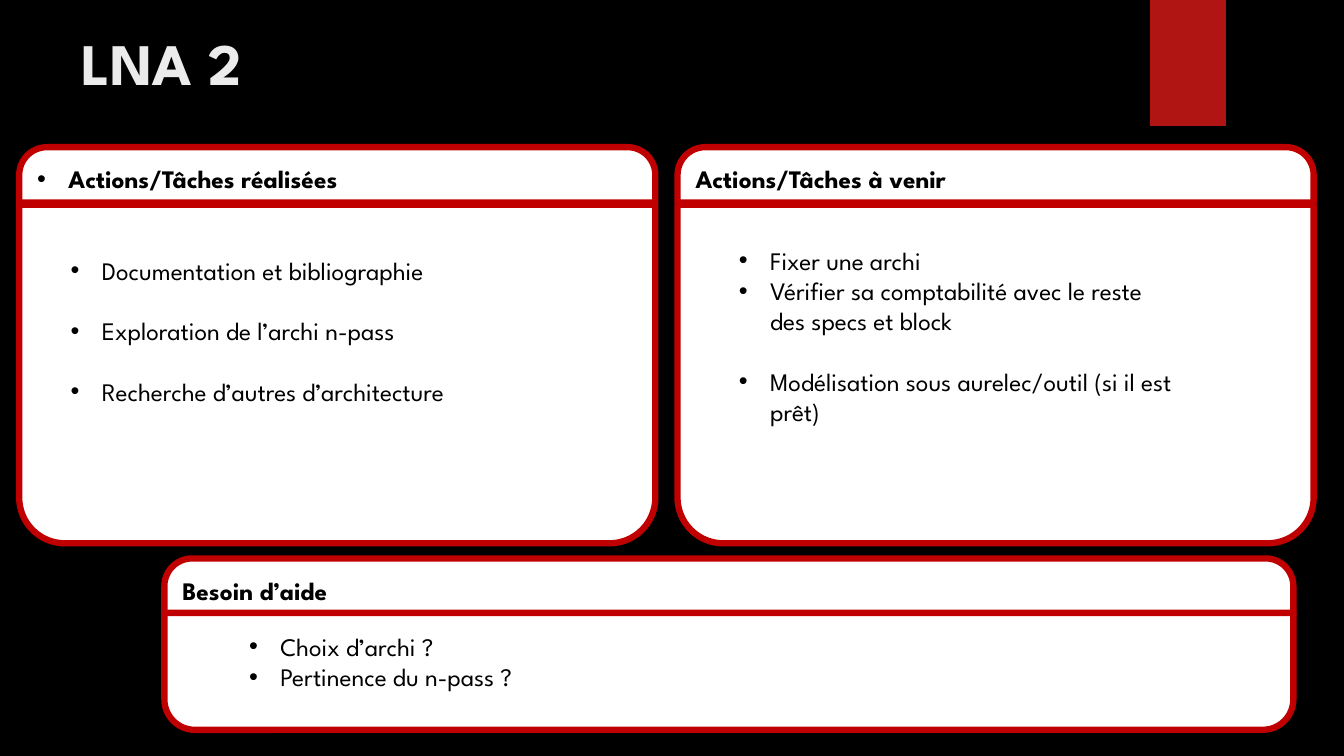
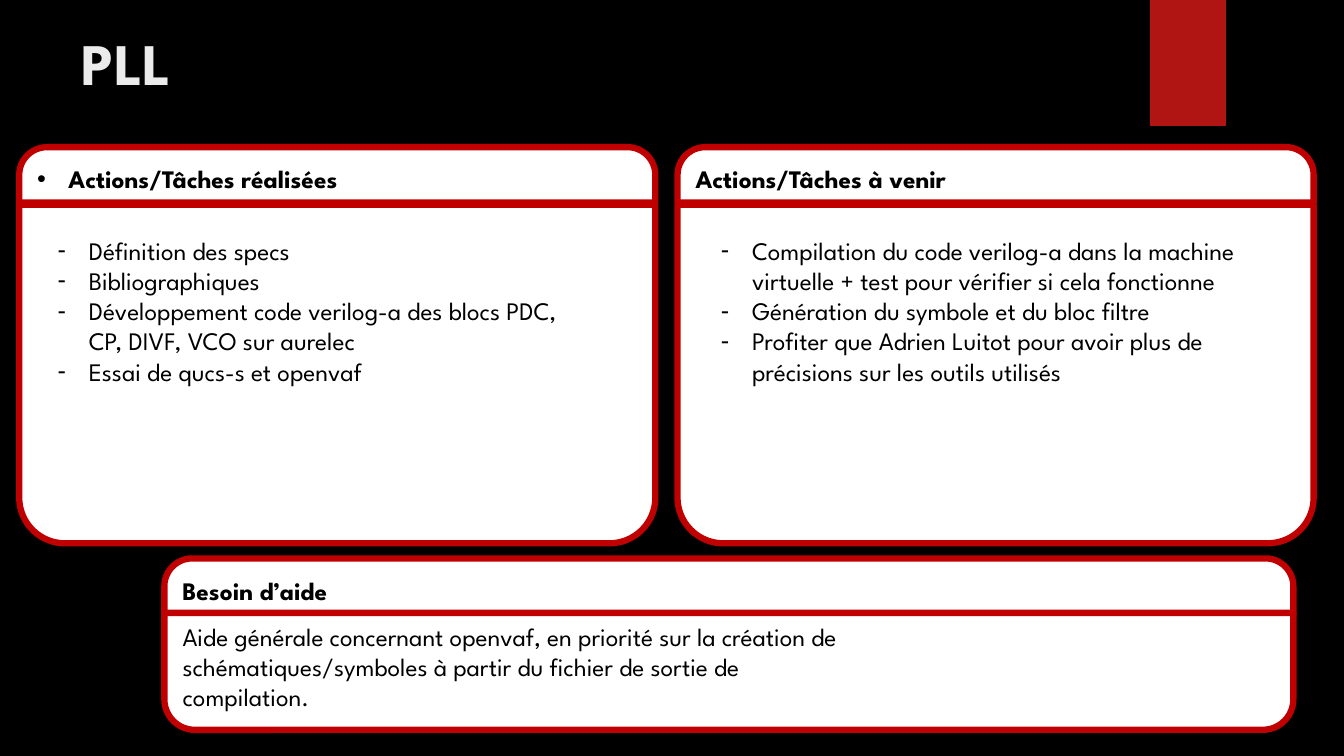
from dataclasses import dataclass
from typing import NamedTuple

from lxml.etree import SubElement
from pptx import Presentation
from pptx.dml.color import RGBColor
from pptx.enum.shapes import MSO_SHAPE
from pptx.enum.text import MSO_ANCHOR, MSO_AUTO_SIZE, PP_ALIGN
from pptx.oxml.ns import qn
from pptx.util import Inches, Pt

WIDTH, HEIGHT = Inches(13.33), Inches(7.5)
COLORS = {
    "background": "000000",
    "ribbon": "B01513",
    "title": "EBEBEB",
    "card": "FFFFFF",
    "border": "C00000",
    "text": "000000",
}
FONT = "League Spartan"
TITLE_FONT = {"name": FONT, "size": Pt(42), "bold": True}
HEADER_FONT = {"name": FONT, "size": Pt(18), "bold": True}
LIST_FONT = {"name": FONT, "size": Pt(18), "bold": False}
PARAGRAPH = {"alignment": PP_ALIGN.LEFT, "line_spacing": 1.0, "space_after": Pt(0)}
TOP_FRAME = {
    "word_wrap": True,
    "auto_size": MSO_AUTO_SIZE.NONE,
    "vertical_anchor": MSO_ANCHOR.TOP,
}
HEADER_FRAME = {**TOP_FRAME, "vertical_anchor": MSO_ANCHOR.MIDDLE}
BULLET_INDENT = Inches(0.31)
BLANK_LINE = 21.6
COMPARISON_LAYOUT = 4
LIST_PLACEHOLDERS = (2, 4, 1)


class Area(NamedTuple):
    """A rectangle in percent of the slide's width and height."""

    left: float
    top: float
    width: float
    height: float

    def lengths(self) -> dict[str, int]:
        return {
            "left": round(WIDTH * self.left / 100),
            "top": round(HEIGHT * self.top / 100),
            "width": round(WIDTH * self.width / 100),
            "height": round(HEIGHT * self.height / 100),
        }


class Entry(NamedTuple):
    text: str
    gap: float = 0


@dataclass(frozen=True)
class Card:
    heading: str
    header: Area
    body: Area
    rounding: float
    bullet: str = ""


@dataclass(frozen=True)
class TextList:
    area: Area
    bullet: str
    entries: tuple[Entry, ...]


@dataclass(frozen=True)
class Report:
    title: str
    lists: tuple[TextList, TextList, TextList]


TITLE_AREA = Area(5.33, 2.8, 77.2, 20.4)
RIBBON_AREA = Area(85.58, 0, 5.63, 16.67)
COLUMN_LEFT, COLUMN_STEP, COLUMN_WIDTH = 1.43, 48.98, 47.33
HEADER_HEIGHT = 7.33


def column_card(column: int, heading: str, bullet: str = "") -> Card:
    left = COLUMN_LEFT + column * COLUMN_STEP
    return Card(
        heading,
        Area(left, 19.47, COLUMN_WIDTH, HEADER_HEIGHT),
        Area(left, 27.07, COLUMN_WIDTH, 44.8),
        0.135,
        bullet,
    )


CARDS = (
    Card(
        "Besoin d’aide",
        Area(12.23, 73.87, 84, HEADER_HEIGHT),
        Area(12.23, 81.07, 84, 15.47),
        0.261,
    ),
    column_card(0, "Actions/Tâches réalisées", "•"),
    column_card(1, "Actions/Tâches à venir"),
)

REPORTS = (
    Report("LNA 2", (
        TextList(Area(4.5, 33.07, 37.95, 21.6), "•", (
            Entry("Documentation et bibliographie"),
            Entry("Exploration de l’archi n-pass", BLANK_LINE),
            Entry("Recherche d’autres d’architecture", BLANK_LINE),
        )),
        TextList(Area(54.23, 31.73, 34.58, 25.6), "•", (
            Entry("Fixer une archi"),
            Entry("Vérifier sa comptabilité avec le reste des specs et block"),
            Entry("Modélisation sous aurelec/outil (si il est prêt)", BLANK_LINE),
        )),
        TextList(Area(17.78, 82.8, 31.2, 9.47), "•", (
            Entry("Choix d’archi ?"),
            Entry("Pertinence du n-pass ?"),
        )),
    )),
    Report("PLL", (
        TextList(Area(3.53, 30.4, 40.35, 21.6), "-", (
            Entry("Définition des specs"),
            Entry("Bibliographiques"),
            Entry("Développement code verilog-a des blocs PDC, CP, DIVF, VCO sur aurelec"),
            Entry("Essai de qucs-s et openvaf"),
        )),
        TextList(Area(52.88, 30.4, 40.35, 25.6), "-", (
            Entry("Compilation du code verilog-a dans la machine virtuelle "
                  "+ test pour vérifier si cela fonctionne"),
            Entry("Génération du symbole et du bloc filtre"),
            Entry("Profiter que Adrien Luitot pour avoir plus de précisions "
                  "sur les outils utilisés"),
        )),
        TextList(Area(12.83, 81.47, 50.33, 13.47), "", (
            Entry("Aide générale concernant openvaf, en priorité sur la création de "
                  "schématiques/symboles à partir du fichier de sortie de compilation."),
        )),
    )),
)


def color(name: str) -> RGBColor:
    return RGBColor.from_string(COLORS[name])


def apply(target, values: dict) -> None:
    for name, value in values.items():
        setattr(target, name, value)


def set_bullet(paragraph, bullet: str) -> None:
    """Give the paragraph a hanging bullet, or none for an empty string."""
    properties = paragraph._p.get_or_add_pPr()
    indent = BULLET_INDENT if bullet else 0
    properties.set("marL", str(indent))
    properties.set("indent", str(-indent))
    if bullet:
        SubElement(properties, qn("a:buFont"), typeface="Arial")
        SubElement(properties, qn("a:buChar"), char=bullet)
    else:
        SubElement(properties, qn("a:buNone"))


def write(box, entries: tuple[Entry, ...], frame: dict, font: dict,
          color_name: str, bullet: str = "") -> None:
    text_frame = box.text_frame
    apply(text_frame, frame)
    for index, entry in enumerate(entries):
        paragraph = text_frame.add_paragraph() if index else text_frame.paragraphs[0]
        apply(paragraph, {**PARAGRAPH, "space_before": Pt(entry.gap)})
        set_bullet(paragraph, bullet)
        span = paragraph.add_run()
        span.text = entry.text
        apply(span.font, font)
        span.font.color.rgb = color(color_name)


def add_box(page, kind: MSO_SHAPE, area: Area, fill: str):
    box = page.shapes.add_shape(kind, **area.lengths())
    box.shadow.inherit = False
    box.fill.solid()
    box.fill.fore_color.rgb = color(fill)
    box.line.fill.background()
    return box


def add_card_part(page, area: Area, top_rounding: float, bottom_rounding: float):
    box = add_box(page, MSO_SHAPE.ROUND_2_SAME_RECTANGLE, area, "card")
    box.adjustments[0], box.adjustments[1] = top_rounding, bottom_rounding
    box.line.color.rgb = color("border")
    box.line.width = Pt(4.5)
    return box


def add_card(page, card: Card) -> None:
    header = add_card_part(page, card.header, 0.5, 0)
    write(header, (Entry(card.heading),), HEADER_FRAME, HEADER_FONT, "text", card.bullet)
    add_card_part(page, card.body, 0, card.rounding)


def fill_list(placeholder, content: TextList) -> None:
    """Place the list and bring it in front of the cards."""
    apply(placeholder, content.area.lengths())
    write(placeholder, content.entries, TOP_FRAME, LIST_FONT, "text", content.bullet)
    placeholder.element.getparent().append(placeholder.element)


def add_report(deck, report: Report) -> None:
    page = deck.slides.add_slide(deck.slide_layouts[COMPARISON_LAYOUT])
    add_box(page, MSO_SHAPE.RECTANGLE, RIBBON_AREA, "ribbon")
    title = page.shapes.title
    apply(title, TITLE_AREA.lengths())
    write(title, (Entry(report.title),), TOP_FRAME, TITLE_FONT, "title")
    for card in CARDS:
        add_card(page, card)
    placeholders = {item.placeholder_format.idx: item for item in page.placeholders}
    for index, content in zip(LIST_PLACEHOLDERS, report.lists):
        fill_list(placeholders[index], content)
    for index, placeholder in placeholders.items():
        if index and index not in LIST_PLACEHOLDERS:
            placeholder.element.getparent().remove(placeholder.element)


def main() -> None:
    deck = Presentation()
    apply(deck, {"slide_width": WIDTH, "slide_height": HEIGHT})
    background = deck.slide_master.background.fill
    background.solid()
    background.fore_color.rgb = color("background")
    for report in REPORTS:
        add_report(deck, report)
    deck.save("out.pptx")


if __name__ == "__main__":
    main()
